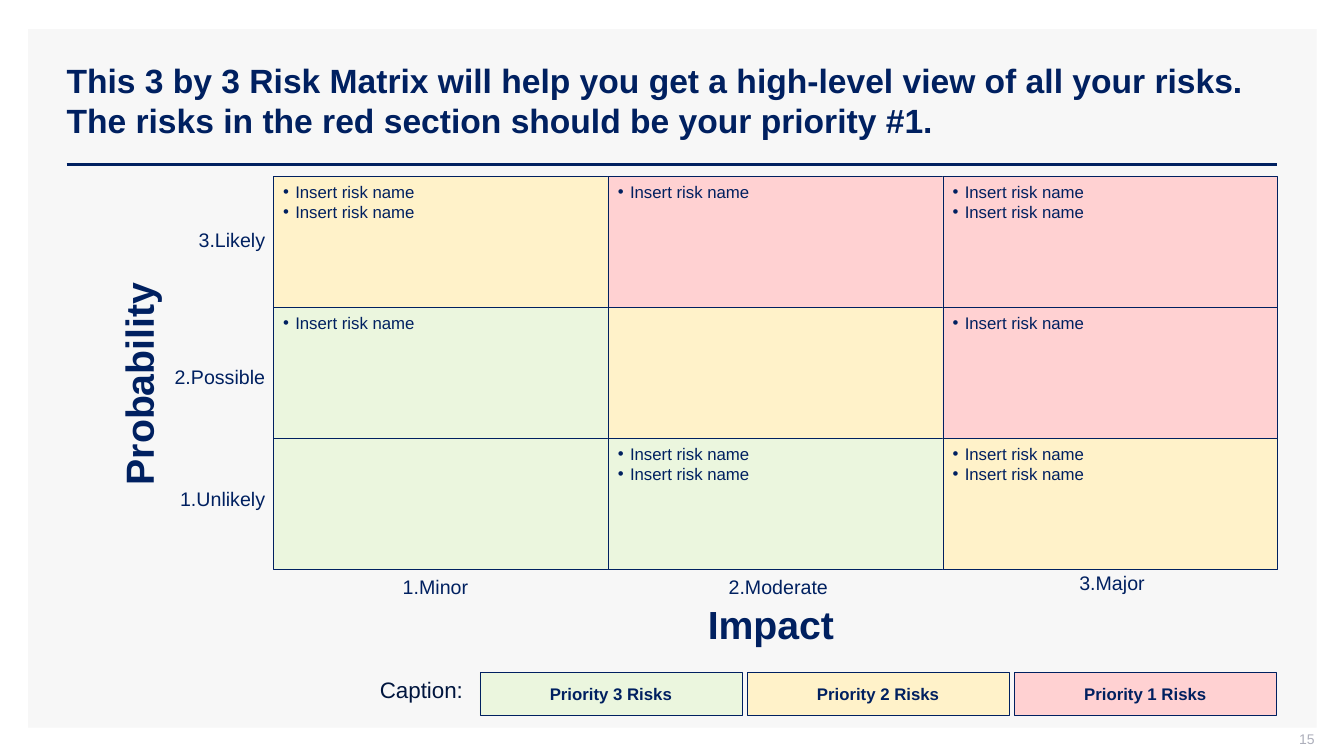
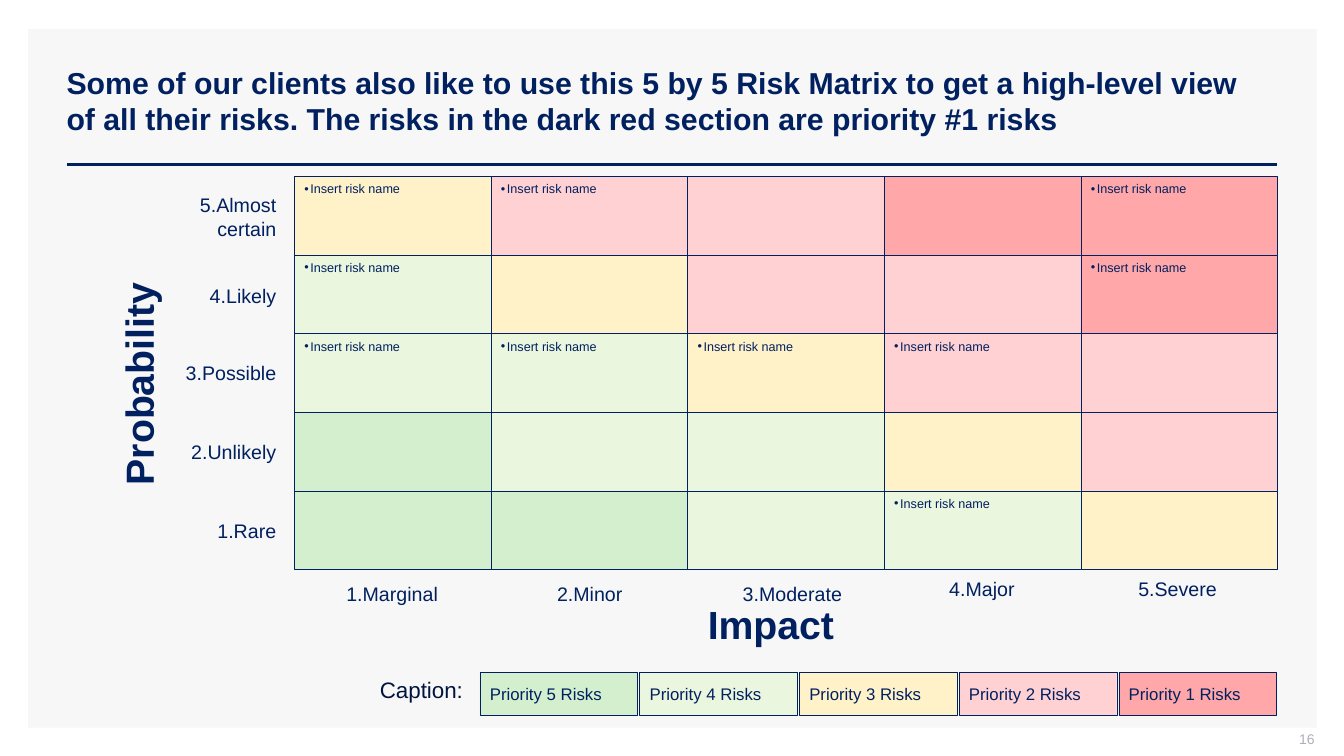
from dataclasses import dataclass
from typing import NamedTuple

from lxml.etree import SubElement
from pptx import Presentation
from pptx.dml.color import RGBColor
from pptx.enum.shapes import MSO_CONNECTOR, MSO_SHAPE
from pptx.enum.text import MSO_ANCHOR, MSO_AUTO_SIZE, PP_ALIGN
from pptx.oxml.ns import qn
from pptx.util import Inches, Pt

FONT = "Arial"
COLOURS = {
    "panel": "F7F7F7",
    "navy": "002060",
    "caption": "00153E",
    "number": "ADAFBB",
    "dark green": "D3EFCE",
    "green": "EBF6DE",
    "yellow": "FFF2C9",
    "red": "FFD1D2",
    "dark red": "FFA7A9",
}
GRID_TOP = 1.75
LEGEND_LEFT, LEGEND_SPAN = 4.76, 7.9
LABEL_HEIGHT = 0.34


class Box(NamedTuple):
    left: float
    top: float
    width: float
    height: float


class TextStyle(NamedTuple):
    size: float
    colour: str = "navy"
    bold: bool = False
    align: PP_ALIGN = PP_ALIGN.LEFT
    anchor: MSO_ANCHOR = MSO_ANCHOR.MIDDLE


class RowLabel(NamedTuple):
    text: str
    middle: float


class ColumnLabel(NamedTuple):
    text: str
    centre: float
    top: float


@dataclass
class RiskMatrix:
    number: int
    title: str
    title_size: float
    left: float
    cell_width: float
    cell_height: float
    scale: list[str]
    priorities: list[str]
    risk_counts: list[str]
    row_labels: list[RowLabel]
    column_labels: list[ColumnLabel]
    label_right: float
    risk_size: float
    risk_indent: float
    legend_gap: float
    legend_style: TextStyle


AXIS_NAME = TextStyle(28, bold=True, align=PP_ALIGN.CENTER)
ROW_LABEL = TextStyle(14, align=PP_ALIGN.RIGHT)
COLUMN_LABEL = TextStyle(14, align=PP_ALIGN.CENTER)
CAPTION = TextStyle(16, "caption", align=PP_ALIGN.CENTER)
PAGE_NUMBER = TextStyle(10, "number", align=PP_ALIGN.RIGHT)

MATRICES = [
    RiskMatrix(
        number=15,
        title="This 3 by 3 Risk Matrix will help you get a high-level view of all your risks. "
        "The risks in the red section should be your priority #1.",
        title_size=24,
        left=2.71,
        cell_width=3.32,
        cell_height=1.3,
        scale=["green", "yellow", "red"],
        priorities=["211", "321", "332"],
        risk_counts=["212", "101", "022"],
        row_labels=[
            RowLabel("3.Likely", 2.38),
            RowLabel("2.Possible", 3.74),
            RowLabel("1.Unlikely", 4.95),
        ],
        column_labels=[
            ColumnLabel("1.Minor", 4.32, 5.65),
            ColumnLabel("2.Moderate", 7.72, 5.65),
            ColumnLabel("3.Major", 11.03, 5.61),
        ],
        label_right=2.73,
        risk_size=12,
        risk_indent=0.12,
        legend_gap=0.05,
        legend_style=TextStyle(12, bold=True, align=PP_ALIGN.CENTER),
    ),
    RiskMatrix(
        number=16,
        title="Some of our clients also like to use this 5 by 5 Risk Matrix to get a high-level view "
        "of all their risks. The risks in the dark red section are priority #1 risks",
        title_size=21.6,
        left=2.92,
        cell_width=1.95,
        cell_height=0.78,
        scale=["dark green", "green", "yellow", "red", "dark red"],
        priorities=["32211", "43221", "44322", "54432", "55443"],
        risk_counts=["11001", "10001", "11110", "00000", "00010"],
        row_labels=[
            RowLabel("5.Almost\ncertain", 2.15),
            RowLabel("4.Likely", 2.93),
            RowLabel("3.Possible", 3.7),
            RowLabel("2.Unlikely", 4.48),
            RowLabel("1.Rare", 5.26),
        ],
        column_labels=[
            ColumnLabel("1.Marginal", 3.89, 5.72),
            ColumnLabel("2.Minor", 5.85, 5.72),
            ColumnLabel("3.Moderate", 7.86, 5.72),
            ColumnLabel("4.Major", 9.74, 5.67),
            ColumnLabel("5.Severe", 11.68, 5.67),
        ],
        label_right=2.84,
        risk_size=9,
        risk_indent=0.06,
        legend_gap=0.02,
        legend_style=TextStyle(12),
    ),
]


def rgb(name: str) -> RGBColor:
    return RGBColor.from_string(COLOURS[name])


def lengths(box: Box) -> list:
    return [Inches(value) for value in box]


def write(frame, text: str, style: TextStyle, bullet_indent: float = 0) -> None:
    frame.text = text
    frame.word_wrap = True
    frame.auto_size = MSO_AUTO_SIZE.NONE
    frame.vertical_anchor = style.anchor
    for paragraph in frame.paragraphs:
        paragraph.alignment = style.align
        if bullet_indent:
            properties = paragraph._p.get_or_add_pPr()
            properties.set("marL", str(Inches(bullet_indent)))
            properties.set("indent", str(-Inches(bullet_indent)))
            SubElement(properties, qn("a:buFont")).set("typeface", FONT)
            SubElement(properties, qn("a:buChar")).set("char", "•")
        for run in paragraph.runs:
            run.font.name = FONT
            run.font.size = Pt(style.size)
            run.font.bold = style.bold
            run.font.color.rgb = rgb(style.colour)


def add_label(slide, box: Box, text: str, style: TextStyle):
    label = slide.shapes.add_textbox(*lengths(box))
    write(label.text_frame, text, style)
    return label


def add_rectangle(slide, box: Box, colour: str, outlined: bool = True):
    rectangle = slide.shapes.add_shape(MSO_SHAPE.RECTANGLE, *lengths(box))
    rectangle.shadow.inherit = False
    rectangle.fill.solid()
    rectangle.fill.fore_color.rgb = rgb(colour)
    if outlined:
        rectangle.line.color.rgb = rgb("navy")
        rectangle.line.width = Pt(0.25)
    else:
        rectangle.line.fill.background()
    return rectangle


def furnish_layout(layout, slide) -> None:
    panel = add_rectangle(slide, Box(0.28, 0.29, 12.78, 6.93), "panel", outlined=False)
    rule = slide.shapes.add_connector(
        MSO_CONNECTOR.STRAIGHT, Inches(0.66), Inches(1.63), Inches(12.67), Inches(1.63)
    )
    rule.line.color.rgb = rgb("navy")
    rule.line.width = Pt(2)
    SubElement(rule._element.spPr, qn("a:effectLst"))
    for position, part in enumerate((panel, rule), start=2):
        layout.shapes.element.insert(position, part._element)
    title = layout.placeholders[0]
    title.left, title.top, title.width, title.height = lengths(Box(0.56, 0.4, 12.11, 1.19))


def add_cells(slide, matrix: RiskMatrix) -> None:
    style = TextStyle(matrix.risk_size, anchor=MSO_ANCHOR.TOP)
    for row, (priorities, counts) in enumerate(zip(matrix.priorities, matrix.risk_counts)):
        for column, (priority, count) in enumerate(zip(priorities, counts)):
            box = Box(
                matrix.left + column * matrix.cell_width,
                GRID_TOP + row * matrix.cell_height,
                matrix.cell_width,
                matrix.cell_height,
            )
            cell = add_rectangle(slide, box, matrix.scale[-int(priority)])
            if int(count):
                risks = "\n".join(["Insert risk name"] * int(count))
                write(cell.text_frame, risks, style, matrix.risk_indent)


def add_axes(slide, matrix: RiskMatrix) -> None:
    probability = add_label(slide, Box(0.1, 3.42, 2.54, 0.67), "Probability ", AXIS_NAME)
    probability.rotation = 270
    add_label(slide, Box(6.61, 5.85, 2.18, 0.67), "Impact ", AXIS_NAME)
    for text, middle in matrix.row_labels:
        height = 0.57 if "\n" in text else LABEL_HEIGHT
        box = Box(matrix.label_right - 1.3, middle - height / 2, 1.3, height)
        add_label(slide, box, text, ROW_LABEL)
    for text, centre, top in matrix.column_labels:
        box = Box(centre - 0.8, top, 1.6, LABEL_HEIGHT)
        add_label(slide, box, text, COLUMN_LABEL)


def add_legend(slide, matrix: RiskMatrix) -> None:
    add_label(slide, Box(3.58, 6.62, 1.2, 0.44), "Caption:", CAPTION)
    levels = len(matrix.scale)
    width = (LEGEND_SPAN - matrix.legend_gap * (levels - 1)) / levels
    for index, colour in enumerate(matrix.scale):
        left = LEGEND_LEFT + index * (width + matrix.legend_gap)
        key = add_rectangle(slide, Box(left, 6.67, width, 0.43), colour)
        write(key.text_frame, f"Priority {levels - index} Risks", matrix.legend_style)


def add_page_number(slide, number: int) -> None:
    page = add_label(slide, Box(10.04, 7.25, 3, 0.21), str(number), PAGE_NUMBER)
    page.text_frame.margin_top = page.text_frame.margin_right = 0


def main() -> None:
    presentation = Presentation()
    presentation.slide_width = Inches(13.33)
    presentation.slide_height = Inches(7.5)
    layout = presentation.slide_layouts[5]
    for index, matrix in enumerate(MATRICES):
        slide = presentation.slides.add_slide(layout)
        if index == 0:
            furnish_layout(layout, slide)
        write(slide.shapes.title.text_frame, matrix.title, TextStyle(matrix.title_size, bold=True))
        add_cells(slide, matrix)
        add_axes(slide, matrix)
        add_legend(slide, matrix)
        add_page_number(slide, matrix.number)
    presentation.save("out.pptx")


if __name__ == "__main__":
    main()
